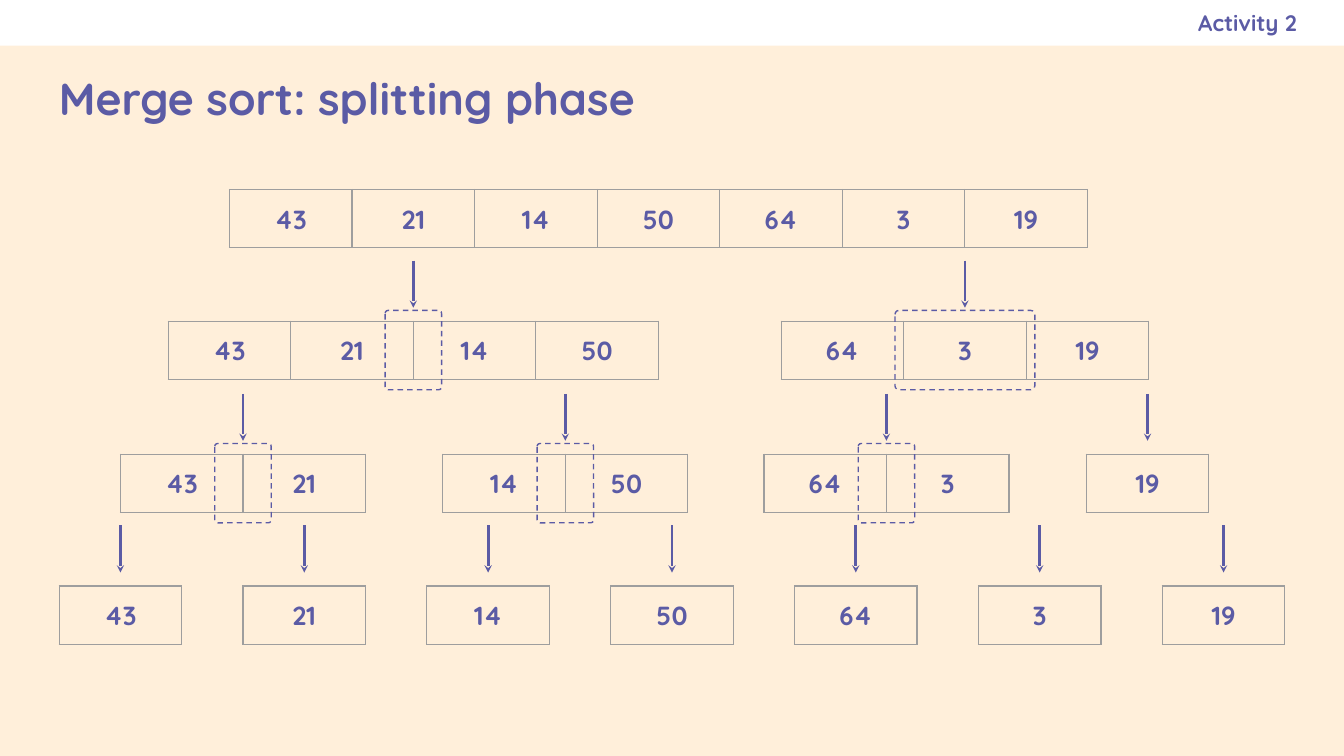
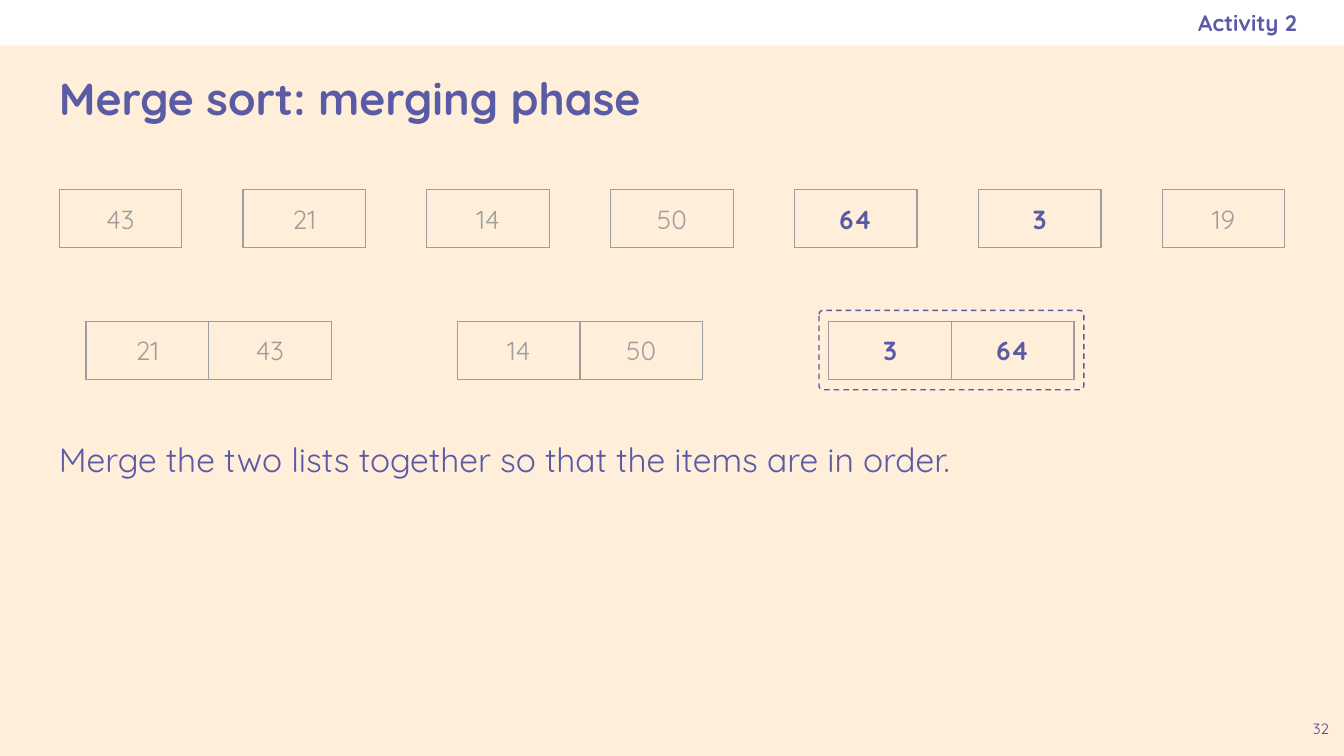
from lxml import etree
from pptx import Presentation
from pptx.dml.color import RGBColor
from pptx.enum.dml import MSO_LINE
from pptx.enum.shapes import MSO_CONNECTOR, MSO_SHAPE
from pptx.enum.text import MSO_ANCHOR as Anchor, PP_ALIGN as Align
from pptx.oxml import parse_xml
from pptx.oxml.ns import nsdecls, qn
from pptx.util import Inches, Pt

color = RGBColor.from_string
PURPLE, GREY, CREAM, WHITE, DARK = "5B5BA5", "9E9E9E", "FFEFDA", "FFFFFF", "494985"
FONT = "Quicksand"
WIDTH = 10
HEIGHT = WIDTH * 9 / 16
MARGIN, EDGE = 0.44, 0.34
COLUMN = (WIDTH - 2 * MARGIN) / 10
CELL_HEIGHT = 0.42
ROW_TOPS = [1.41, 2.39, 3.38, 4.36]
LEAF_STEP = 1.5
ARROW_START, ARROW_END = 0.45, 0.1
FRAME_RISE, FRAME_HEIGHT = 0.08, 0.59
EVEN_FRAME, ODD_FRAME, PAIR_FRAME = 0.42, 1.04, 1.97


def add_text(slide, text, box, size, bold=False, hex_color=PURPLE,
             align=Align.LEFT, anchor=Anchor.TOP, right_inset=0.1):
    frame = slide.shapes.add_textbox(*[Inches(length) for length in box]).text_frame
    frame.word_wrap = True
    frame.vertical_anchor = anchor
    frame.margin_left = frame.margin_top = frame.margin_bottom = Inches(0.1)
    frame.margin_right = Inches(right_inset)
    frame.text = text
    paragraph = frame.paragraphs[0]
    paragraph.alignment = align
    font = paragraph.runs[0].font
    font.name, font.size, font.bold = FONT, Pt(size), bold
    font.color.rgb = color(hex_color)
    return paragraph


def add_list(slide, column, row, values, active=True, arrow=False, frame_width=0):
    left, top = MARGIN + column * COLUMN, ROW_TOPS[row]
    width = len(values) * COLUMN
    center = left + width / 2
    table = slide.shapes.add_table(1, len(values), Inches(left), Inches(top),
                                   Inches(width), Inches(CELL_HEIGHT)).table
    table.first_row = table.horz_banding = False
    for cell, value in zip(table.iter_cells(), values):
        cell.margin_left = cell.margin_right = Inches(0.1)
        cell.margin_top = cell.margin_bottom = Inches(0.1)
        properties = cell._tc.get_or_add_tcPr()
        for side in ("lnL", "lnR", "lnT", "lnB"):
            properties.append(parse_xml(
                f'<a:{side} {nsdecls("a")} w="{Pt(0.75)}"><a:solidFill>'
                f'<a:srgbClr val="{GREY}"/></a:solidFill></a:{side}>'))
        cell.fill.background()
        cell.text_frame.text = str(value)
        paragraph = cell.text_frame.paragraphs[0]
        paragraph.alignment = Align.CENTER
        font = paragraph.runs[0].font
        font.name, font.size, font.bold = FONT, Pt(14), active
        font.color.rgb = color(PURPLE if active else GREY)
    if arrow:
        connector = slide.shapes.add_connector(
            MSO_CONNECTOR.STRAIGHT, Inches(center), Inches(top - ARROW_START),
            Inches(center), Inches(top - ARROW_END))
        connector.line.color.rgb = color(PURPLE)
        connector.line.width = Pt(1.5)
        etree.SubElement(connector.line._get_or_add_ln(), qn("a:tailEnd"),
                         type="stealth", w="sm", len="sm")
        etree.SubElement(connector._element.spPr, qn("a:effectLst"))
    if frame_width:
        shape = slide.shapes.add_shape(
            MSO_SHAPE.ROUNDED_RECTANGLE, Inches(center - frame_width / 2),
            Inches(top - FRAME_RISE), Inches(frame_width), Inches(FRAME_HEIGHT))
        shape.adjustments[0] = 0.05
        shape.shadow.inherit = False
        shape.fill.background()
        shape.line.color.rgb = color(PURPLE)
        shape.line.width = Pt(0.75)
        shape.line.dash_style = MSO_LINE.DASH


presentation = Presentation()
presentation.slide_width, presentation.slide_height = Inches(WIDTH), Inches(HEIGHT)

slides = []
for title in ("Merge sort: splitting phase", "Merge sort: merging phase"):
    slide = presentation.slides.add_slide(presentation.slide_layouts[6])
    slide.background.fill.solid()
    slide.background.fill.fore_color.rgb = color(CREAM)
    band = slide.shapes.add_shape(MSO_SHAPE.RECTANGLE, 0, 0, Inches(WIDTH), Inches(EDGE))
    band.shadow.inherit = False
    band.fill.solid()
    band.fill.fore_color.rgb = color(WHITE)
    band.line.fill.background()
    add_text(slide, "Activity 2", (5.75, 0, 3.9, EDGE), 12, bold=True,
             align=Align.RIGHT, anchor=Anchor.MIDDLE, right_inset=0)
    add_text(slide, title, (EDGE, EDGE, WIDTH - 2 * EDGE, 0.77), 24, bold=True,
             anchor=Anchor.MIDDLE)
    slides.append(slide)
splitting, merging = slides

numbers = [43, 21, 14, 50, 64, 3, 19]

add_list(splitting, 1.39, 0, numbers)
split_lists = [
    (0.89, 1, numbers[:4]), (5.89, 1, numbers[4:]),
    (0.5, 2, numbers[:2]), (3.13, 2, numbers[2:4]),
    (5.75, 2, numbers[4:6]), (8.38, 2, numbers[6:]),
]
split_lists += [(index * LEAF_STEP, 3, [number]) for index, number in enumerate(numbers)]
for column, row, values in split_lists:
    frame_width = 0
    if len(values) > 1:
        frame_width = ODD_FRAME if len(values) % 2 else EVEN_FRAME
    add_list(splitting, column, row, values, arrow=True, frame_width=frame_width)

merged_pair = [3, 64]
for index, number in enumerate(numbers):
    add_list(merging, index * LEAF_STEP, 0, [number], active=number in merged_pair)
for column, pair in ((0.22, [21, 43]), (3.25, [14, 50]), (6.28, merged_pair)):
    active = pair == merged_pair
    add_list(merging, column, 1, pair, active=active,
             frame_width=PAIR_FRAME if active else 0)
instruction = add_text(
    merging, "Merge the two lists together so that the items are in order.",
    (EDGE, 3.12, WIDTH - 2 * EDGE, 1.41), 18)
instruction.line_spacing = 1.15
instruction.space_after = Pt(16)
add_text(merging, "32", (WIDTH - EDGE, HEIGHT - EDGE, EDGE, EDGE), 8,
         hex_color=DARK, align=Align.CENTER)

presentation.save("out.pptx")
